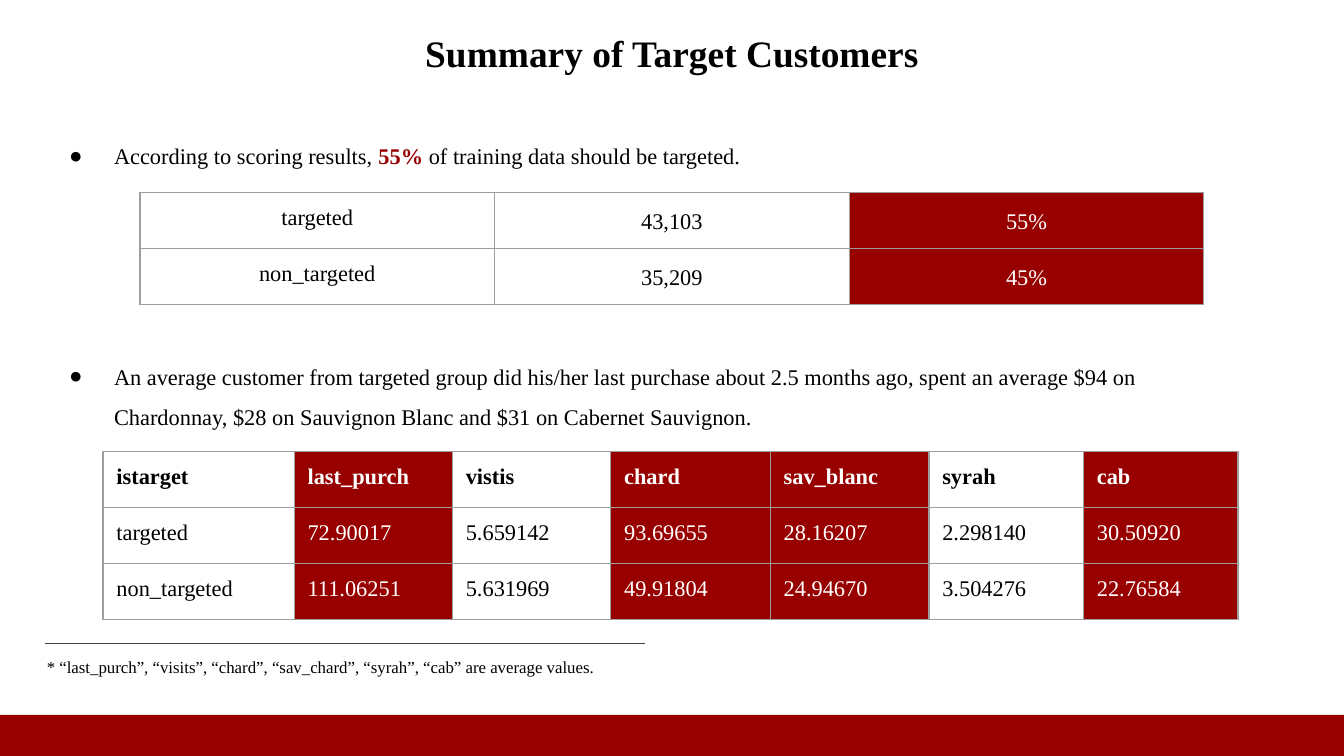
from lxml.etree import SubElement
from pptx import Presentation
from pptx.dml.color import RGBColor
from pptx.enum.shapes import MSO_CONNECTOR, MSO_SHAPE
from pptx.enum.text import MSO_ANCHOR, PP_ALIGN
from pptx.oxml.ns import qn
from pptx.util import Pt

RED = RGBColor(0x98, 0x00, 0x00)
BLACK = RGBColor(0x00, 0x00, 0x00)
WHITE = RGBColor(0xFF, 0xFF, 0xFF)
BORDER_GRAY = RGBColor(0x9E, 0x9E, 0x9E)
RULE_GRAY = RGBColor(0x43, 0x43, 0x43)
FONT = "Times New Roman"
INSET = Pt(7.2)

# Content: each text is a list of (words, font changes)
TEXTS = [
    {"box": (80, 0, 560, 56), "align": PP_ALIGN.CENTER, "anchor": MSO_ANCHOR.MIDDLE,
     "runs": [("Summary of Target Customers", {"size": Pt(20), "bold": True})]},
    {"box": (18, 67, 708, 30), "bullet": True, "spacing": 1.15,
     "runs": [("According to scoring results, ", {}),
              ("55%", {"bold": True, "color": RED}),
              (" of training data should be targeted.", {})]},
    {"box": (18, 180, 644, 52), "bullet": True, "spacing": 1.5,
     "runs": [("An average customer from targeted group did his/her last purchase "
               "about 2.5 months ago, spent an average $94 on Chardonnay, "
               "$28 on Sauvignon Blanc and $31 on Cabernet Sauvignon.", {})]},
    {"box": (18, 346.5, 369, 35),
     "runs": [("* “last_purch”, “visits”, “chard”, “sav_chard”, “syrah”, “cab” "
               "are average values.", {"size": Pt(9)})]},
]
TABLES = [
    {"left": 75, "top": 103, "widths": [190] * 3, "red_columns": {2},
     "align": PP_ALIGN.CENTER, "number_spacing": 1.15, "header": False,
     "rows": [("targeted", "43,103", "55%"),
              ("non_targeted", "35,209", "45%")]},
    {"left": 55.2, "top": 241.8, "widths": [102.4, 84.8, 84.8, 85.5, 85, 82.8, 82.8],
     "red_columns": {1, 3, 4, 6}, "align": PP_ALIGN.LEFT, "number_spacing": 1,
     "header": True,
     "rows": [("istarget", "last_purch", "vistis", "chard", "sav_blanc", "syrah", "cab"),
              ("targeted", "72.90017", "5.659142", "93.69655", "28.16207",
               "2.298140", "30.50920"),
              ("non_targeted", "111.06251", "5.631969", "49.91804", "24.94670",
               "3.504276", "22.76584")]},
]
ROW_HEIGHT = 30


def set_attributes(target, values):
    for name, value in values.items():
        setattr(target, name, value)


def add_run(paragraph, words, changes):
    values = {"name": FONT, "size": Pt(12), "bold": False, "color": BLACK, **changes}
    font = paragraph.add_run().font
    font.color.rgb = values.pop("color")
    set_attributes(font, values)
    paragraph.runs[-1].text = words


def add_bullet(paragraph):
    properties = paragraph._p.get_or_add_pPr()
    properties.set("marL", str(Pt(36)))
    properties.set("indent", str(-Pt(24)))
    color = SubElement(properties, qn("a:buClr"))
    SubElement(color, qn("a:srgbClr"), val=str(BLACK))
    SubElement(properties, qn("a:buFont"), typeface=FONT)
    SubElement(properties, qn("a:buChar"), char="●")


def add_text(slide, item):
    frame = slide.shapes.add_textbox(*map(Pt, item["box"])).text_frame
    set_attributes(frame, {
        "word_wrap": True, "vertical_anchor": item.get("anchor", MSO_ANCHOR.TOP),
        "margin_left": INSET, "margin_right": INSET,
        "margin_top": INSET, "margin_bottom": INSET})
    paragraph = frame.paragraphs[0]
    set_attributes(paragraph, {"alignment": item.get("align", PP_ALIGN.LEFT),
                               "line_spacing": item.get("spacing", 1.0)})
    if item.get("bullet"):
        add_bullet(paragraph)
    for words, changes in item["runs"]:
        add_run(paragraph, words, changes)


def add_borders(cell):
    properties = cell._tc.get_or_add_tcPr()
    for position, side in enumerate(("a:lnL", "a:lnR", "a:lnT", "a:lnB")):
        line = SubElement(properties, qn(side), w=str(Pt(0.75)))
        fill = SubElement(line, qn("a:solidFill"))
        SubElement(fill, qn("a:srgbClr"), val=str(BORDER_GRAY))
        properties.insert(position, line)  # borders come before the fill


def add_table(slide, item):
    rows, widths = item["rows"], item["widths"]
    table = slide.shapes.add_table(
        len(rows), len(widths), Pt(item["left"]), Pt(item["top"]),
        Pt(sum(widths)), Pt(ROW_HEIGHT * len(rows))).table
    set_attributes(table, {"first_row": False, "horz_banding": False})
    for column, width in zip(table.columns, widths):
        column.width = Pt(width)
    for row_index, row in enumerate(rows):
        table.rows[row_index].height = Pt(ROW_HEIGHT)
        for column_index, words in enumerate(row):
            cell = table.cell(row_index, column_index)
            is_red = column_index in item["red_columns"]
            set_attributes(cell, {
                "margin_left": INSET, "margin_right": INSET,
                "margin_top": INSET, "margin_bottom": INSET})
            cell.fill.solid()
            cell.fill.fore_color.rgb = RED if is_red else WHITE
            add_borders(cell)
            paragraph = cell.text_frame.paragraphs[0]
            set_attributes(paragraph, {
                "alignment": item["align"],
                "line_spacing": float(item["number_spacing"] if column_index else 1)})
            add_run(paragraph, words, {
                "color": WHITE if is_red else BLACK,
                "bold": item["header"] and row_index == 0})


def main():
    presentation = Presentation()
    set_attributes(presentation, {"slide_width": Pt(720), "slide_height": Pt(405)})
    slide = presentation.slides.add_slide(presentation.slide_layouts[6])

    # Bottom bar
    bar = slide.shapes.add_shape(MSO_SHAPE.RECTANGLE, Pt(0), Pt(383), Pt(726), Pt(22))
    bar.shadow.inherit = False
    bar.fill.solid()
    bar.fill.fore_color.rgb = RED
    bar.line.fill.background()

    # Tables and texts
    for item in TABLES:
        add_table(slide, item)
    for item in TEXTS:
        add_text(slide, item)

    # Footnote rule
    rule = slide.shapes.add_connector(
        MSO_CONNECTOR.STRAIGHT, Pt(24.3), Pt(344.7), Pt(345.6), Pt(344.7))
    rule.line.color.rgb = RULE_GRAY
    rule.line.width = Pt(0.75)
    SubElement(rule._element.spPr, qn("a:effectLst"))

    presentation.save("out.pptx")


if __name__ == "__main__":
    main()
